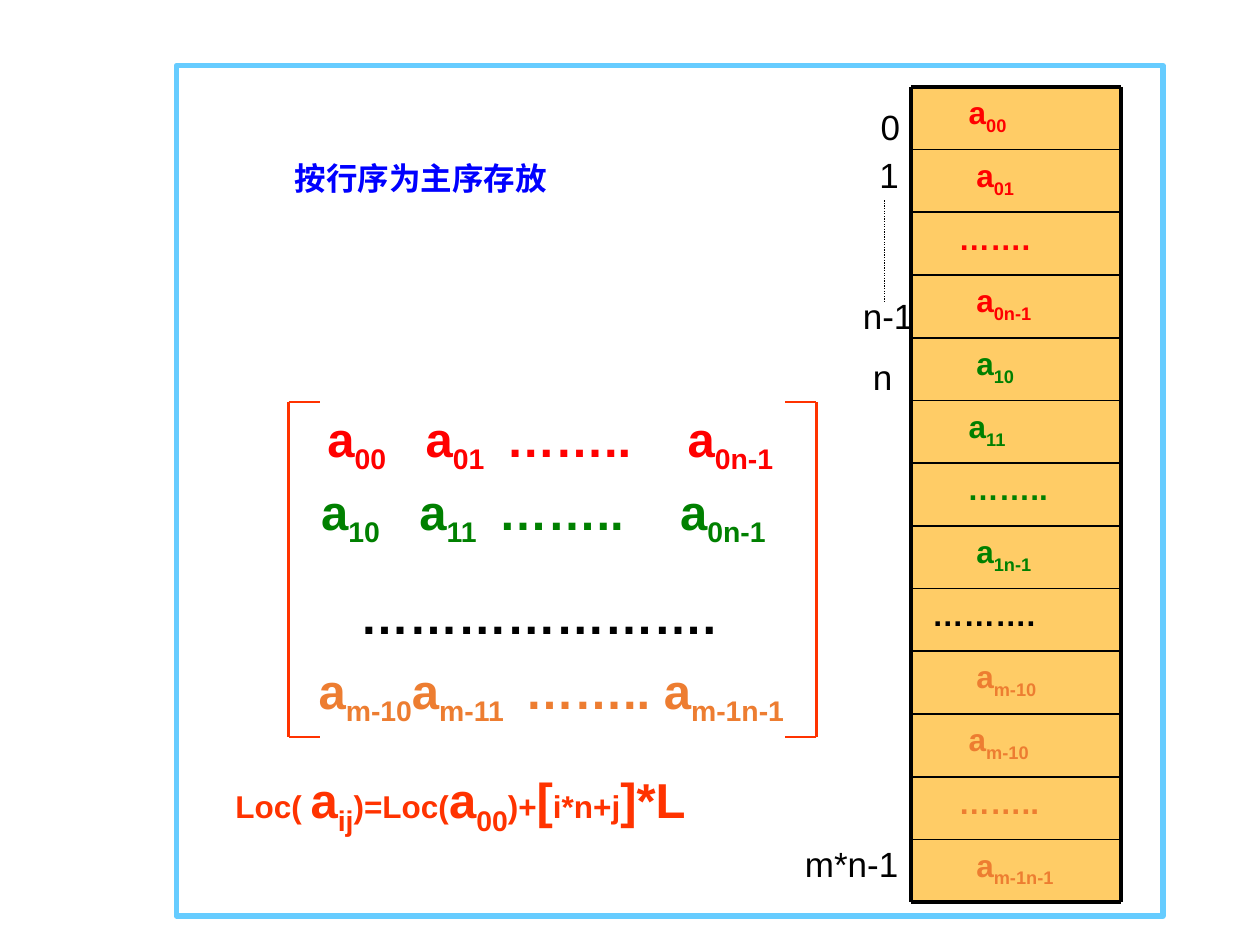
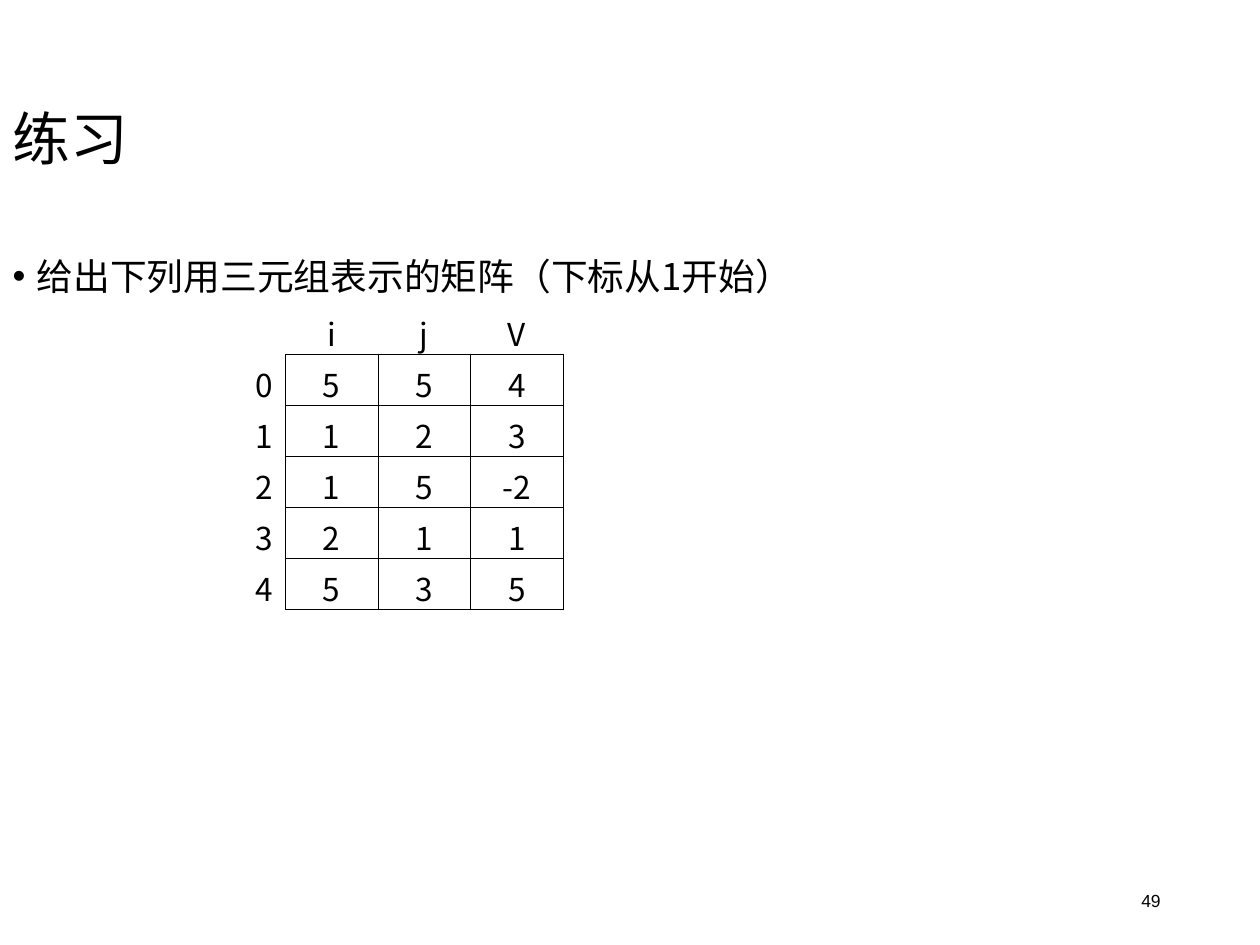
"""Build two slides on row-major array storage and a triplet-matrix exercise."""
from dataclasses import dataclass
from typing import Any

import pptx
import pptx.dml.color
import pptx.enum.dml
import pptx.enum.shapes
import pptx.enum.text
import pptx.oxml
import pptx.oxml.ns
import pptx.util

Inches = pptx.util.Inches
Pt = pptx.util.Pt
Align = pptx.enum.text.PP_ALIGN
Anchor = pptx.enum.text.MSO_ANCHOR
qn = pptx.oxml.ns.qn
NAMESPACE = pptx.oxml.ns.nsdecls("a")


@dataclass(frozen=True)
class Theme:
    """Colours, fonts and type sizes."""
    ink: str = "000000"
    paper: str = "FFFFFF"
    frame: str = "66CCFF"
    cell: str = "FFCC66"
    heading: str = "0000FF"
    formula: str = "FF3300"
    first_row: str = "FF0000"
    second_row: str = "008000"
    last_row: str = "ED7D31"
    latin: str = "Arial"
    chinese: str = "Noto Sans CJK SC"
    title_size: float = 33
    matrix_size: float = 28
    body_size: float = 21
    label_size: float = 20
    cell_size: float = 18
    number_size: float = 10


THEME = Theme()


@dataclass(frozen=True)
class Box:
    """A rectangle in inches."""
    left: float
    top: float
    width: float
    height: float

    def lengths(self) -> list[int]:
        """Return the four sides as slide lengths."""
        return [Inches(side) for side in (self.left, self.top, self.width, self.height)]


@dataclass(frozen=True)
class Span:
    """A stretch of text in one format."""
    text: str
    size: float
    color: str = THEME.ink
    bold: bool = False
    subscript: bool = False
    font: str = THEME.latin


@dataclass(frozen=True)
class MatrixRow:
    """One matrix row: its box, tab stops and alternating normal and subscript terms."""
    box: Box
    tabs: tuple[float, ...]
    color: str
    terms: tuple[str, ...]


@dataclass(frozen=True)
class MemoryCell:
    """One memory cell: its element, index, colour and indent."""
    element: str
    index: str
    color: str
    indent: float


@dataclass(frozen=True)
class Stroke:
    """A straight line in inches."""
    x1: float
    y1: float
    x2: float
    y2: float
    width: float
    color: str = THEME.ink


MATRIX_ROWS = (
    MatrixRow(Box(1.38, 5.19, 6.02, 0.63), (1.05, 2.69), THEME.last_row,
              ("\ta", "m-10", "a", "m-11", "\t…….. a", "m-1n-1")),
    MatrixRow(Box(1.38, 3.19, 5.27, 0.63), (1.12, 1.9, 2.54, 3.98), THEME.first_row,
              ("\ta", "00", "\ta", "01", "\t……..\ta", "0n-1")),
    MatrixRow(Box(1.38, 3.77, 5.35, 0.63), (1.07, 1.85, 2.48, 3.92), THEME.second_row,
              ("\ta", "10", "\ta", "11", "\t……..\ta", "0n-1")),
    MatrixRow(Box(1.38, 4.6, 4.67, 0.57), (1.38,), THEME.ink, ("\t………………….",)),
)
MEMORY = Box(7.23, 0.69, 1.67, 6.47)
MEMORY_CELLS = (
    MemoryCell("a", "00", THEME.first_row, 0.36),
    MemoryCell("a", "01", THEME.first_row, 0.42),
    MemoryCell("…….", "", THEME.first_row, 0.28),
    MemoryCell("a", "0n-1", THEME.first_row, 0.42),
    MemoryCell("a", "10", THEME.second_row, 0.42),
    MemoryCell("a", "11", THEME.second_row, 0.36),
    MemoryCell("……..", "", THEME.second_row, 0.35),
    MemoryCell("a", "1n-1", THEME.second_row, 0.42),
    MemoryCell("……….", "", THEME.ink, 0.07),
    MemoryCell("a", "m-10", THEME.last_row, 0.42),
    MemoryCell("a", "m-10", THEME.last_row, 0.36),
    MemoryCell("……..", "", THEME.last_row, 0.28),
    MemoryCell("a", "m-1n-1", THEME.last_row, 0.42),
)
ADDRESSES = (
    ("0", Box(6.89, 0.79, 0.35, 0.44)),
    ("1", Box(6.88, 1.17, 0.35, 0.44)),
    ("m*n-1", Box(6.29, 6.64, 0.94, 0.44)),
    ("n", Box(6.83, 2.77, 0.35, 0.44)),
)
LAST_OF_FIRST_ROW = ("n-1", Box(6.75, 2.29, 0.6, 0.44))
TRIPLETS = (
    ("", "i", "j", "V"),
    ("0", "5", "5", "4"),
    ("1", "1", "2", "3"),
    ("2", "1", "5", "-2"),
    ("3", "2", "1", "1"),
    ("4", "5", "3", "5"),
)


def rgb(color: str) -> pptx.dml.color.RGBColor:
    """Turn a hex string into a colour."""
    return pptx.dml.color.RGBColor.from_string(color)


def apply(target: Any, formats: dict[str, Any]) -> None:
    """Set each format value on the target."""
    for attribute, value in formats.items():
        setattr(target, attribute, value)


def write(paragraph: Any, spans: list[Span], formats: dict[str, Any] | None = None) -> None:
    """Add formatted spans to a paragraph."""
    apply(paragraph, {"alignment": Align.LEFT, "space_before": Pt(0)} | (formats or {}))
    for span in spans:
        run = paragraph.add_run()
        run.text = span.text
        apply(run.font, {"size": Pt(span.size), "bold": span.bold, "name": span.font})
        run.font.color.rgb = rgb(span.color)
        properties = run.font._element
        properties.append(pptx.oxml.parse_xml(
            f'<a:ea {NAMESPACE} typeface="{THEME.chinese}"/>'))
        if span.subscript:
            properties.set("baseline", "-25000")


def set_indent(paragraph: Any, margin: float, first: float = 0) -> None:
    """Set the left margin and first-line indent in inches."""
    properties = paragraph._p.get_or_add_pPr()
    properties.set("marL", str(Inches(margin)))
    properties.set("indent", str(Inches(first)))


def set_tabs(paragraph: Any, stops: tuple[float, ...]) -> None:
    """Give the paragraph left tab stops."""
    tabs = "".join(f'<a:tab pos="{Inches(stop)}" algn="l"/>' for stop in stops)
    paragraph._p.get_or_add_pPr().append(
        pptx.oxml.parse_xml(f"<a:tabLst {NAMESPACE}>{tabs}</a:tabLst>"))


def add_text(slide: Any, box: Box, wrap: bool = True, anchor: Anchor = Anchor.TOP) -> Any:
    """Add a text box and return its first paragraph."""
    frame = slide.shapes.add_textbox(*box.lengths()).text_frame
    apply(frame, {"word_wrap": wrap, "vertical_anchor": anchor})
    return frame.paragraphs[0]


def place(placeholder: Any, box: Box, anchor: Anchor) -> Any:
    """Move a placeholder and return its first paragraph."""
    apply(placeholder, dict(zip(("left", "top", "width", "height"), box.lengths())))
    apply(placeholder.text_frame, {"vertical_anchor": anchor, "word_wrap": True,
                                   "auto_size": pptx.enum.text.MSO_AUTO_SIZE.NONE})
    return placeholder.text_frame.paragraphs[0]


def add_rectangle(slide: Any, box: Box, fill: str) -> Any:
    """Add a filled rectangle without line or shadow."""
    rectangle = slide.shapes.add_shape(
        pptx.enum.shapes.MSO_SHAPE.RECTANGLE, *box.lengths())
    rectangle.shadow.inherit = False
    rectangle.fill.solid()
    rectangle.fill.fore_color.rgb = rgb(fill)
    rectangle.line.fill.background()
    return rectangle


def add_stroke(slide: Any, stroke: Stroke) -> Any:
    """Draw a straight line without shadow."""
    ends = [Inches(end) for end in (stroke.x1, stroke.y1, stroke.x2, stroke.y2)]
    connector = slide.shapes.add_connector(
        pptx.enum.shapes.MSO_CONNECTOR.STRAIGHT, *ends)
    connector.line.width = Pt(stroke.width)
    connector.line.color.rgb = rgb(stroke.color)
    connector._element.spPr.append(pptx.oxml.parse_xml(f"<a:effectLst {NAMESPACE}/>"))
    return connector


def add_address(slide: Any, text: str, box: Box) -> None:
    """Label a memory cell with its address."""
    write(add_text(slide, box, wrap=False), [Span(text, THEME.label_size)])


def add_matrix(slide: Any) -> None:
    """Draw the matrix rows between square brackets."""
    for row in MATRIX_ROWS:
        paragraph = add_text(slide, row.box)
        set_tabs(paragraph, row.tabs)
        write(paragraph, [Span(term, THEME.matrix_size, row.color, True, position % 2 == 1)
                          for position, term in enumerate(row.terms)])
    top, bottom = 3.19, 5.85
    for side, tip in ((2.29, 2.54), (6.48, 6.23)):
        for ends in ((side, top, side, bottom), (side, top, tip, top),
                     (side, bottom, tip, bottom)):
            add_stroke(slide, Stroke(*ends, 1.5, THEME.formula))


def add_memory(slide: Any) -> None:
    """Draw the column of memory cells with its rules."""
    count = len(MEMORY_CELLS)
    step = MEMORY.height / count
    right, bottom = MEMORY.left + MEMORY.width, MEMORY.top + MEMORY.height
    for position, cell in enumerate(MEMORY_CELLS):
        box = Box(MEMORY.left, MEMORY.top + position * step, MEMORY.width, step)
        frame = add_rectangle(slide, box, THEME.cell).text_frame
        frame.vertical_anchor = Anchor.TOP
        spans = [Span(cell.element, THEME.cell_size, cell.color, True)]
        if cell.index:
            spans.append(Span(cell.index, THEME.cell_size, cell.color, True, True))
        set_indent(frame.paragraphs[0], cell.indent)
        write(frame.paragraphs[0], spans)
    for position in range(count + 1):
        y = MEMORY.top + position * step
        add_stroke(slide, Stroke(MEMORY.left, y, right, y,
                                 2.25 if position in (0, count) else 1))
    for x in (MEMORY.left, right):
        add_stroke(slide, Stroke(x, MEMORY.top, x, bottom, 2.25))


def build_storage(slide: Any) -> None:
    """Build the row-major storage slide."""
    frame = add_rectangle(slide, Box(1.4, 0.52, 7.83, 6.75), THEME.paper)
    frame.line.width = Pt(3)
    frame.line.color.rgb = rgb(THEME.frame)
    slide.shapes._spTree.append(slide.shapes.title._element)
    heading = place(slide.shapes.title, Box(2.13, 1.21, 3.08, 0.4), Anchor.TOP)
    set_indent(heading, 0.11)
    write(heading, [Span("按行序为主序存放", THEME.cell_size, THEME.heading, True)])
    small, large = THEME.cell_size, THEME.matrix_size
    formula = (("Loc( ", small, False), ("a", large, False), ("ij", large, True),
               (")=Loc(", small, False), ("a", large, False), ("00", large, True),
               (")+", small, False), ("[", large, False), ("i*n+j", small, False),
               ("]*L", large, False))
    write(add_text(slide, Box(1.77, 6.06, 5.17, 0.63)),
          [Span(text, size, THEME.formula, True, low) for text, size, low in formula])
    add_matrix(slide)
    add_address(slide, *LAST_OF_FIRST_ROW)
    add_memory(slide)
    for text, box in ADDRESSES:
        add_address(slide, text, box)
    omitted = add_stroke(slide, Stroke(7.02, 1.59, 7.02, 2.4, 0.75))
    omitted.line.dash_style = pptx.enum.dml.MSO_LINE.ROUND_DOT


def add_borders(cell: Any, sides: tuple[str, ...]) -> None:
    """Rule the given sides of a table cell."""
    properties = cell._tc.get_or_add_tcPr()
    for position, side in enumerate(sides):
        properties.insert(position, pptx.oxml.parse_xml(
            f'<a:ln{side} {NAMESPACE} w="{Pt(0.45)}"><a:solidFill>'
            f'<a:srgbClr val="{THEME.ink}"/></a:solidFill></a:ln{side}>'))


def add_triplets(slide: Any) -> None:
    """Add the triplet table, ruled except for its header row and index column."""
    box = Box(1.53, 2.41, 2.94, 2.43)
    table = slide.shapes.add_table(len(TRIPLETS), len(TRIPLETS[0]), *box.lengths()).table
    apply(table, {"first_row": False, "horz_banding": False})
    table._tbl.tblPr.find(qn("a:tableStyleId")).text = "{2D5ABB26-0587-4C30-8999-92F81FD0307C}"
    for r, values in enumerate(TRIPLETS):
        for c, value in enumerate(values):
            cell = table.cell(r, c)
            cell.fill.background()
            if r and c:
                add_borders(cell, ("L", "R", "T", "B"))
            elif r or c:
                add_borders(cell, ("R",) if r else ("B",))
            if value:
                write(cell.text_frame.paragraphs[0],
                      [Span(value, THEME.cell_size, font=THEME.chinese)],
                      {"alignment": Align.CENTER if c else Align.RIGHT})


def build_exercise(slide: Any) -> None:
    """Build the triplet exercise slide."""
    write(add_text(slide, Box(7.06, 6.95, 2.25, 0.4), anchor=Anchor.MIDDLE),
          [Span("49", THEME.number_size)], {"alignment": Align.RIGHT})
    write(place(slide.shapes.title, Box(0, 0.4, 8.63, 1.45), Anchor.MIDDLE),
          [Span("练习", THEME.title_size, font=THEME.chinese)], {"line_spacing": 0.9})
    task = place(slide.placeholders[1], Box(0, 2, 8.63, 4.76), Anchor.TOP)
    set_indent(task, 0.19, -0.19)
    task._p.get_or_add_pPr().append(pptx.oxml.parse_xml(f'<a:buChar {NAMESPACE} char="•"/>'))
    write(task, [Span("给出下列用三元组表示的矩阵（下标从1开始）", THEME.body_size,
                      font=THEME.chinese)], {"line_spacing": 0.9})
    add_triplets(slide)


def main() -> None:
    """Build and save the presentation."""
    deck = pptx.Presentation()
    apply(deck, {"slide_width": Inches(10), "slide_height": Inches(7.5)})
    for layout, build in ((5, build_storage), (1, build_exercise)):
        build(deck.slides.add_slide(deck.slide_layouts[layout]))
    deck.save("out.pptx")


if __name__ == "__main__":
    main()
